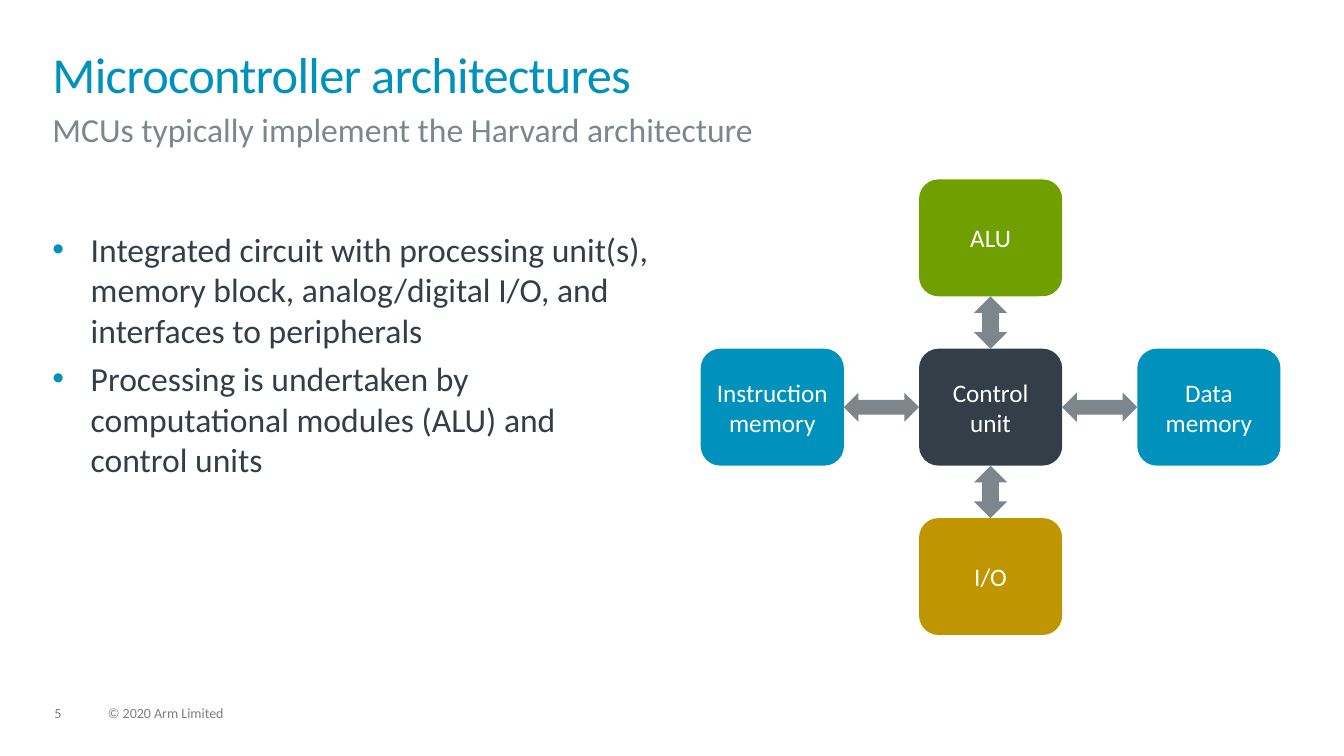
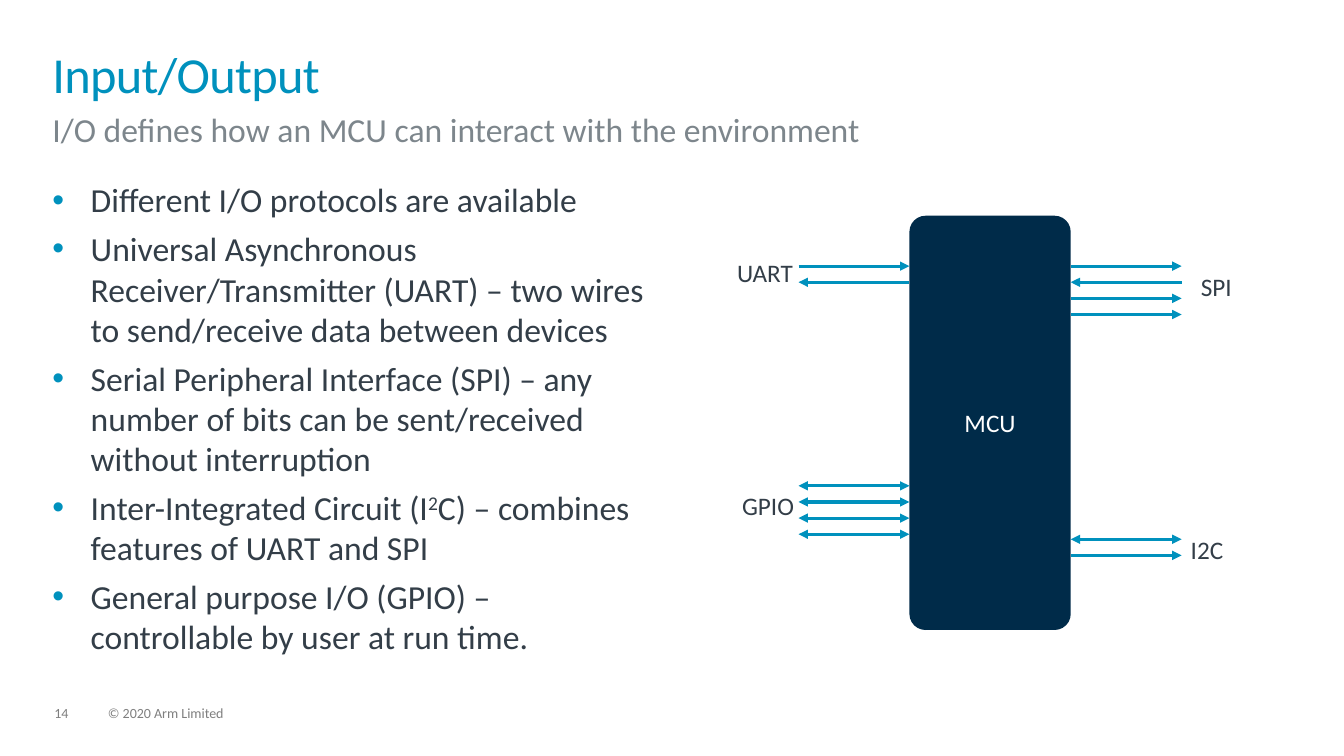
"""Build two slides on microcontroller architecture and I/O."""
from dataclasses import dataclass

from lxml.etree import SubElement as Sub
from pptx import Presentation
from pptx.dml.color import RGBColor as Rgb
from pptx.enum.shapes import MSO_CONNECTOR as Conn, MSO_SHAPE as Shape
from pptx.enum.text import MSO_ANCHOR as Anchor, PP_ALIGN as Align
from pptx.oxml.ns import qn
from pptx.util import Inches, Pt


@dataclass(frozen=True)
class Theme:
    """Colours, font and type sizes."""
    font: str = "Calibri"
    blue: str = "0091BD"
    gray: str = "7D868C"
    dark: str = "333E48"
    navy: str = "002B49"
    green: str = "70A000"
    gold: str = "BF9500"
    white: str = "FFFFFF"
    foot: str = "7F7F7F"
    head: int = 36
    body: int = 24
    label: int = 18
    small: int = 10
    wire: float = 2.25


T = Theme()
TIGHT = dict.fromkeys(
    ("margin_left", "margin_top", "margin_right", "margin_bottom"), 0)
TIGHT["word_wrap"] = True
MID = {"vertical_anchor": Anchor.MIDDLE, "word_wrap": True}


def apply(item, form):
    """Set each format value on an item."""
    for key, value in form.items():
        setattr(item, key, value)


def inch(box):
    """Turn a box of numbers into lengths."""
    return [Inches(v) for v in box]


def write(para, text, size, color, **extra):
    """Add a run with its type style and extra run attributes."""
    run = para.add_run()
    run.text = text
    apply(run.font, {"name": T.font, "size": Pt(size)})
    run.font.color.rgb = Rgb.from_string(color)
    for key, value in extra.items():
        run._r.get_or_add_rPr().set(key, value)


def label(slide, box, text, size, color, lead=1.0, **extra):
    """Place one line of text in a box without margins."""
    frame = slide.shapes.add_textbox(*inch(box)).text_frame
    apply(frame, TIGHT)
    para = frame.paragraphs[0]
    para.line_spacing = lead
    write(para, text, size, color, **extra)


def block(slide, kind, box, color, text=""):
    """Place a flat filled shape with centred text."""
    shape = slide.shapes.add_shape(kind, *inch(box))
    shape.shadow.inherit = False
    shape.fill.solid()
    shape.fill.fore_color.rgb = Rgb.from_string(color)
    shape.line.fill.background()
    if text:
        apply(shape.text_frame, MID)
        para = shape.text_frame.paragraphs[0]
        para.alignment = Align.CENTER
        write(para, text, T.label, T.white)
    return shape


def wire(slide, left, right, y, ends):
    """Draw a level wire with a head at each end named in ends."""
    line = slide.shapes.add_connector(
        Conn.STRAIGHT, *inch((left, y, right, y)))
    line.line.color.rgb = Rgb.from_string(T.blue)
    line.line.width = Pt(T.wire)
    edge = line.line._get_or_add_ln()
    for mark, tag in (("<", "a:headEnd"), (">", "a:tailEnd")):
        if mark in ends:
            Sub(edge, qn(tag), type="triangle")
    Sub(line._element.spPr, qn("a:effectLst"))


def bullets(slide, box, items):
    """Place a bullet list; each item is a list of text and rise pairs."""
    frame = slide.shapes.add_textbox(*inch(box)).text_frame
    apply(frame, TIGHT)
    for i, item in enumerate(items):
        para = frame.add_paragraph() if i else frame.paragraphs[0]
        props = para._p.get_or_add_pPr()
        props.set("marL", str(Inches(0.38)))
        props.set("indent", str(-Inches(0.38)))
        Sub(Sub(props, qn("a:buClr")), qn("a:srgbClr"), val=T.blue)
        Sub(props, qn("a:buFont"), typeface="Arial")
        Sub(props, qn("a:buChar"), char="•")
        para.space_before = Pt(6 if i else 0)
        for text, rise in item:
            extra = {"baseline": rise} if rise else {}
            write(para, text, T.body, T.dark, **extra)


def base(deck, page, title, sub):
    """Add a slide with its title, subtitle and footer."""
    slide = deck.slides.add_slide(deck.slide_layouts[6])
    label(slide, (0.54, 7.01, 0.34, 0.15), page, T.small, T.foot, 0.9)
    label(slide, (1.07, 7.01, 1.71, 0.15), "© 2020 Arm Limited",
          T.small, T.foot, 0.9)
    label(slide, (0.52, 0.52, 12.28, 0.56), title, T.head, T.blue,
          0.85, spc="-50")
    label(slide, (0.52, 1.08, 12.28, 0.38), sub, T.body, T.gray)
    return slide


def units(slide, box):
    """Draw the control unit with a unit on each side, joined by arrows."""
    left, top, width, height = box
    wide, tall = 1.42, 1.16
    dx, dy = (width - wide) / 2, (height - tall) / 2
    cells = (("Control unit", T.dark, 1, 1), ("I/O", T.gold, 1, 2),
             ("Instruction memory", T.blue, 0, 1),
             ("Data memory", T.blue, 2, 1), ("ALU", T.green, 1, 0))
    for text, color, col, row in cells:
        spot = (left + col * dx, top + row * dy, wide, tall)
        block(slide, Shape.ROUNDED_RECTANGLE, spot, color, text)
    thick, thin = 0.33, 0.29
    for i in range(2):
        block(slide, Shape.UP_DOWN_ARROW,
              (left + (width - thick) / 2, top + tall + i * dy,
               thick, dy - tall), T.gray)
        block(slide, Shape.LEFT_RIGHT_ARROW,
              (left + wide + i * dx, top + (height - thin) / 2,
               dx - wide, thin), T.gray)


def chip(slide, box):
    """Draw the MCU with its labelled buses on both sides."""
    left, top, width, height = box
    body = block(slide, Shape.ROUNDED_RECTANGLE, box, T.navy, "MCU")
    body.adjustments[0] = 0.1
    span, gap = 1.1, 0.16
    buses = (("UART", -span, 0.5, (">", "<"), -1.71, 0.45),
             ("GPIO", -span, 2.68, ("<>",) * 4, -1.66, 2.76),
             ("SPI", width, 0.5, (">", "<", ">", ">"), 2.89, 0.59),
             ("I2C", width, 3.21, ("<>", ">"), 2.79, 3.19))
    for name, x, y, wires, tx, ty in buses:
        for i, ends in enumerate(wires):
            wire(slide, left + x, left + x + span, top + y + i * gap, ends)
        label(slide, (left + tx, top + ty, 0.81, 0.27), name,
              T.label, T.dark, 0.9)


def harvard(deck):
    """Build the slide on architectures."""
    slide = base(deck, "5", "Microcontroller architectures",
                 "MCUs typically implement the Harvard architecture")
    bullets(slide, (0.52, 2.27, 5.99, 3.98), (
        [("Integrated circuit with processing unit(s), memory block, "
          "analog/digital I/O, and interfaces to peripherals", "")],
        [("Processing is undertaken by computational modules (ALU) "
          "and control units", "")]))
    units(slide, (6.95, 1.78, 5.75, 4.52))


def ports(deck):
    """Build the slide on input and output."""
    slide = base(deck, "14", "Input/Output",
                 "I/O defines how an MCU can interact with the environment")
    bullets(slide, (0.52, 1.78, 5.99, 4.47), (
        [("Different I/O protocols are available", "")],
        [("Universal Asynchronous Receiver/Transmitter (UART) – two wires "
          "to send/receive data between devices", "")],
        [("Serial Peripheral Interface (SPI) – any number of bits can be "
          "sent/received without interruption", "")],
        [("Inter-Integrated Circuit (I", ""), ("2", "30000"),
         ("C) – combines features of UART and SPI", "")],
        [("General purpose I/O (GPIO) – controllable by user "
          "at run time.", "")]))
    chip(slide, (9.02, 2.14, 1.6, 4.11))


def main():
    """Build and save the deck."""
    deck = Presentation()
    apply(deck, {"slide_width": Inches(13.33), "slide_height": Inches(7.5)})
    harvard(deck)
    ports(deck)
    deck.save("out.pptx")


if __name__ == "__main__":
    main()
